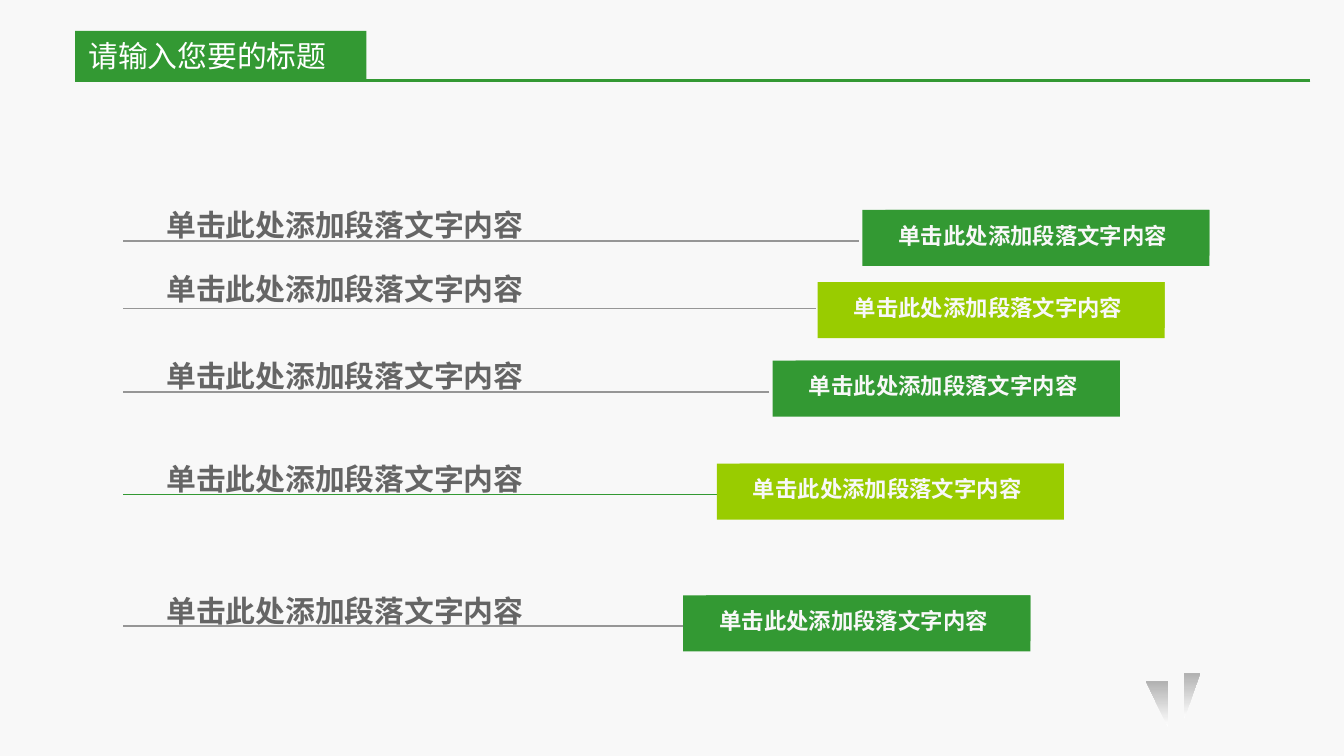
"""Build a slide with a title tab and five staggered text rows."""
from lxml import etree
from pptx import Presentation
from pptx import util as u
from pptx.dml.color import RGBColor
from pptx.enum import shapes, text
from pptx.oxml import ns

GREEN, LIME, GREY, PALE = "339933", "99CC00", "969696", "F8F8F8"
LABEL = "单击此处添加段落文字内容"


def rgb(value):
    return RGBColor.from_string(value)


def add_box(box, fill=None, words="", color=PALE, spacing=1.2, **font):
    sp = s.shapes.add_shape(shapes.MSO_SHAPE.RECTANGLE, *map(u.Pt, box))
    sp.shadow.inherit = False
    sp.line.fill.background()
    if fill:
        sp.fill.solid()
        sp.fill.fore_color.rgb = rgb(fill)
    else:
        sp.fill.background()
    if words:
        tf = sp.text_frame
        frame = {"word_wrap": True, "vertical_anchor": text.MSO_ANCHOR.TOP,
                 "auto_size": text.MSO_AUTO_SIZE.SHAPE_TO_FIT_TEXT}
        for name, value in frame.items():
            setattr(tf, name, value)
        p = tf.paragraphs[0]
        p.alignment = text.PP_ALIGN.LEFT
        p.line_spacing = spacing
        r = p.add_run()
        r.text = words
        r.font.color.rgb = rgb(color)
        for name, value in font.items():
            setattr(r.font, name, value)


def add_line(x1, y1, x2, y2, color, width):
    cx = s.shapes.add_connector(shapes.MSO_CONNECTOR.STRAIGHT, *map(u.Pt, (x1, y1, x2, y2)))
    cx.line.color.rgb = rgb(color)
    cx.line.width = u.Pt(width)
    etree.SubElement(cx.element.spPr, ns.qn("a:effectLst"))


prs = Presentation()
prs.slide_width, prs.slide_height = u.Pt(720), u.Pt(405)
s = prs.slides.add_slide(prs.slide_layouts[6])
s.background.fill.solid()
s.background.fill.fore_color.rgb = rgb(PALE)

# line end, line y, line colour, label top, bar left, bar top, bar colour
rows = [
    (460, 129.2, GREY, 103.5, 462, 112.5, GREEN),
    (437, 165.4, GREY, 137.6, 438, 151.2, LIME),
    (412, 210, GREY, 184.3, 414, 193.2, GREEN),
    (388.8, 265, GREEN, 239.5, 384, 248.4, LIME),
    (372.2, 335.4, GREY, 310.2, 366, 319, GREEN),
]
for end, y, line, top, left, bar_top, fill in rows:
    add_line(end, y, 66, y, line, 0.75)
    add_box((82, top, 258, 29), words=LABEL, color="656565",
            name="Arial", size=u.Pt(16), bold=True)
    add_box((left, bar_top, 186, 30), fill)
    add_box((left + 12.3, bar_top, 173.7, 24.5), fill, LABEL,
            name="Arial", size=u.Pt(12), bold=True)

for box, apex in [((614, 365, 11.7, 24.5), 0), ((634.3, 360.7, 8.6, 24.5), 1)]:
    sp = s.shapes.add_shape(shapes.MSO_SHAPE.ISOSCELES_TRIANGLE, *map(u.Pt, box))
    sp.adjustments[0] = apex
    sp.rotation = 180
    sp.shadow.inherit = False
    sp.line.fill.background()
    sp.fill.gradient()
    sp.fill.gradient_angle = 270
    for stop, color in zip(sp.fill.gradient_stops, ("FFFFFF", "B2B2B2")):
        stop.color.rgb = rgb(color)

add_box((40.3, 16.5, 156, 26.5), GREEN, "请输入您要的标题", "FFFFFF", 1,
        name="Noto Sans CJK SC", size=u.Pt(16))
add_line(702, 43, 40.3, 43, GREEN, 1.5)

prs.save("out.pptx")
